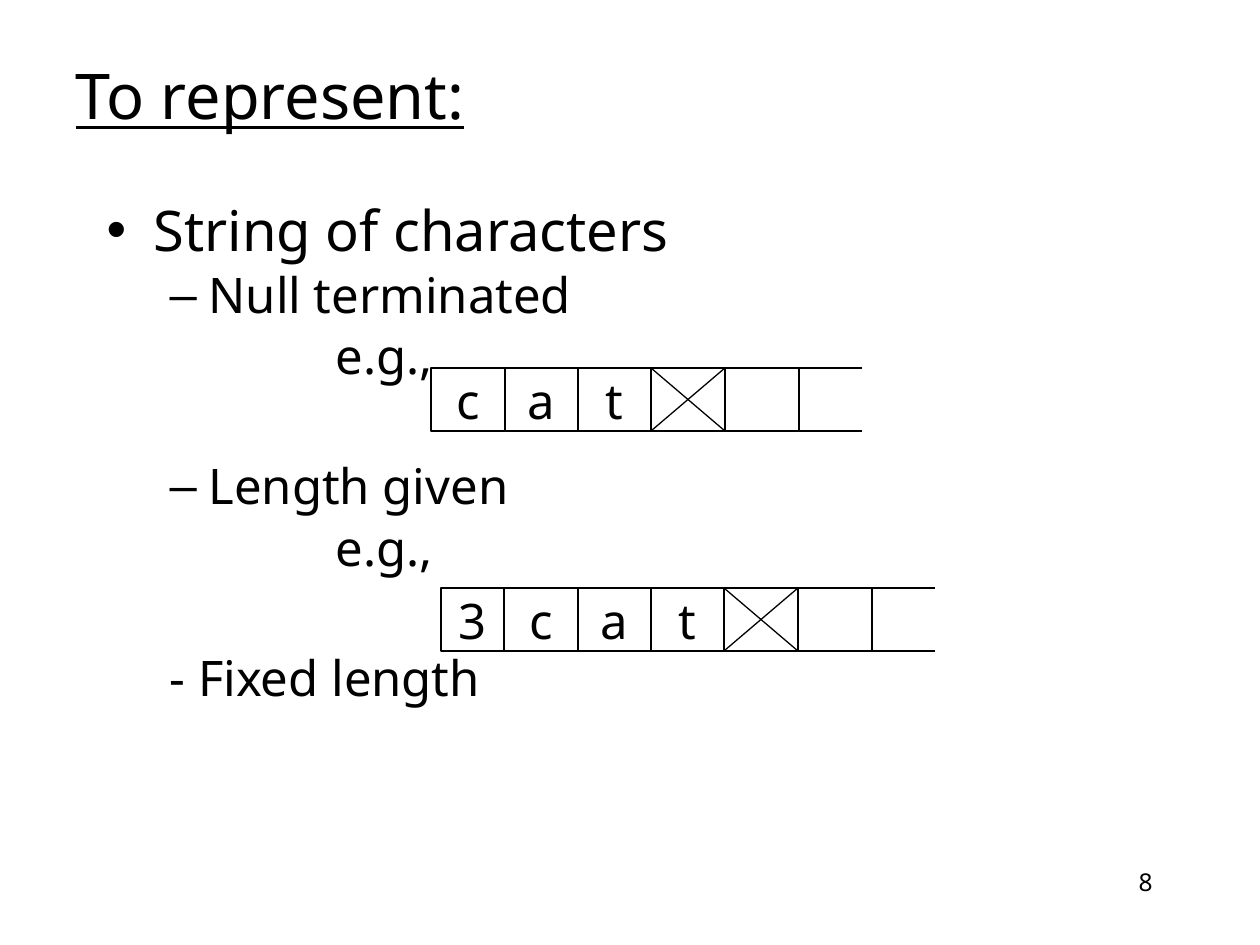
"""Build the slide on ways to represent a string of characters."""
from lxml import etree
from pptx import Presentation
from pptx.dml.color import RGBColor
from pptx.enum.shapes import MSO_CONNECTOR as CONNECTOR, MSO_SHAPE as SHAPE
from pptx.enum.text import MSO_ANCHOR as ANCHOR, MSO_AUTO_SIZE as AUTO_SIZE, PP_ALIGN as ALIGN
from pptx.oxml.ns import qn
from pptx.util import Emu, Pt

PX = 914400 // 126
BLACK, WHITE = "000000", "FFFFFF"
CELL_WIDTH, CELL_HEIGHT, TAIL = 73.5, 63, 63


def color(value):
    return RGBColor.from_string(value)


def write(paragraph, text, size, align=ALIGN.LEFT, underline=False):
    paragraph.alignment = align
    run = paragraph.add_run()
    run.text = text
    settings = {"name": "Noto Sans", "size": Pt(size), "underline": underline}
    for name, value in settings.items():
        setattr(run.font, name, value)
    run.font.color.rgb = color(BLACK)


presentation = Presentation()
presentation.slide_width, presentation.slide_height = Emu(1260 * PX), Emu(945 * PX)
slide = presentation.slides.add_slide(presentation.slide_layouts[1])
title, body = slide.shapes.title, slide.placeholders[1]
number = slide.shapes.add_textbox(0, 0, 0, 0)

frames = [
    (title, (63, 42, 1071, 105), ANCHOR.MIDDLE),
    (body, (94, 189, 1071, 567), ANCHOR.TOP),
    (number, (903, 861, 262, 63), ANCHOR.TOP),
]
for shape, box, anchor in frames:
    for name, pixels in zip(("left", "top", "width", "height"), box):
        setattr(shape, name, Emu(pixels * PX))
    settings = {"word_wrap": True, "auto_size": AUTO_SIZE.NONE, "vertical_anchor": anchor}
    for name, value in settings.items():
        setattr(shape.text_frame, name, value)

write(title.text_frame.paragraphs[0], "To represent:", 36, underline=True)
write(number.text_frame.paragraphs[0], "8", 14, ALIGN.RIGHT)

items = [
    ("String of characters", 0, 32, 47, -47, "•", 0),
    ("Null terminated", 1, 28, 102, -39, "–", 1.3),
    ("e.g.,", 1, 28, 229, 0, None, 1.3),
    ("Length given", 1, 28, 102, -39, "–", 40.7),
    ("e.g.,", 1, 28, 229, 0, None, 1.3),
    ("- Fixed length", 1, 28, 102, -39, None, 40.7),
]
for index, (text, level, size, margin, indent, bullet, space) in enumerate(items):
    frame = body.text_frame
    paragraph = frame.add_paragraph() if index else frame.paragraphs[0]
    paragraph.level = level
    paragraph.space_before = Pt(space)
    write(paragraph, text, size)
    properties = paragraph._p.get_or_add_pPr()
    properties.set("marL", str(margin * PX))
    properties.set("indent", str(indent * PX))
    if bullet:
        etree.SubElement(properties, qn("a:buChar")).set("char", bullet)
    else:
        etree.SubElement(properties, qn("a:buNone"))

rows = [
    (368, 431, [("c", 0), ("a", 1), ("t", 2), ("", 3), ("", 4)]),
    (588, 504, [("3", -1), ("c", 0), ("a", 1), ("t", 2), ("", 3), ("", 4)]),
]
for top, start, cells in rows:
    bottom = top + CELL_HEIGHT
    edges = [start + round(CELL_WIDTH * column) for column in range(6)]
    for text, column in cells:
        left, right = (start - 63, start) if column < 0 else edges[column:column + 2]
        cell = slide.shapes.add_shape(
            SHAPE.RECTANGLE, left * PX, top * PX, (right - left) * PX, CELL_HEIGHT * PX)
        cell.shadow.inherit = False
        cell.fill.solid()
        cell.fill.fore_color.rgb = color(WHITE)
        cell.line.color.rgb = color(BLACK)
        cell.line.width = Pt(0.75)
        if text:
            cell.text_frame.word_wrap = False
            cell.text_frame.vertical_anchor = ANCHOR.MIDDLE
            write(cell.text_frame.paragraphs[0], text, 28, ALIGN.CENTER)
    end = edges[5]
    lines = [
        (end, top, end + TAIL, top),
        (end, bottom, end + TAIL, bottom),
        (edges[3], top, edges[4], bottom),
        (edges[4], top, edges[3], bottom),
    ]
    for points in lines:
        line = slide.shapes.add_connector(CONNECTOR.STRAIGHT, *(point * PX for point in points))
        line.line.color.rgb = color(BLACK)
        line.line.width = Pt(0.75)
        etree.SubElement(line._element.spPr, qn("a:effectLst"))

presentation.save("out.pptx")
